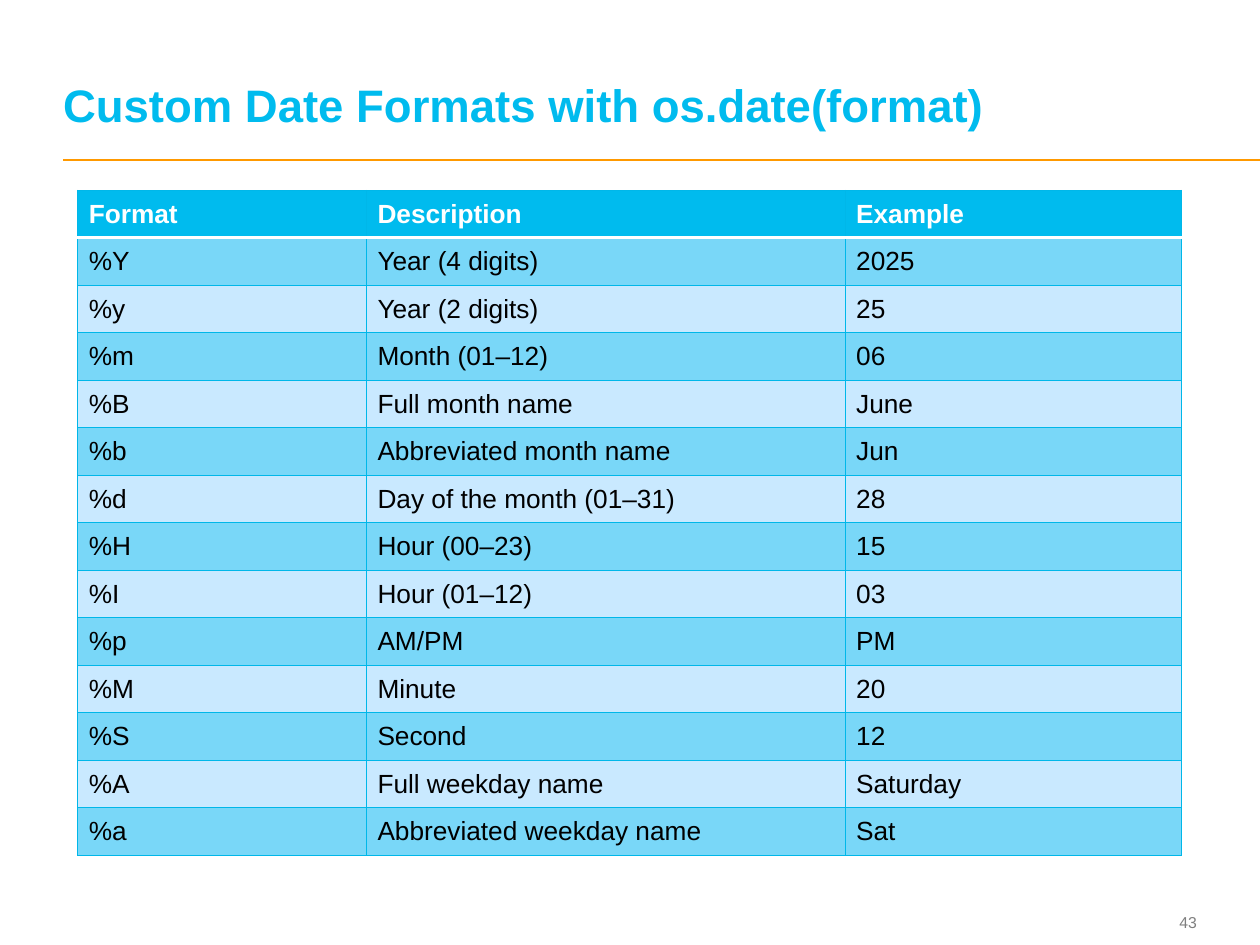
from dataclasses import dataclass

from lxml.etree import SubElement
from pptx import Presentation
from pptx.dml.color import RGBColor
from pptx.enum.shapes import MSO_CONNECTOR
from pptx.enum.text import MSO_ANCHOR, MSO_AUTO_SIZE, PP_ALIGN
from pptx.oxml.ns import qn
from pptx.slide import Slide
from pptx.table import _Cell
from pptx.text.text import TextFrame
from pptx.util import Cm, Pt

FONT = "Arial"
CYAN = RGBColor(0x00, 0xBB, 0xEE)
GRID = RGBColor(0x00, 0xB7, 0xE9)
BAND_DARK = RGBColor(0x79, 0xD7, 0xF8)
BAND_LIGHT = RGBColor(0xC9, 0xE9, 0xFF)
ORANGE = RGBColor(0xFF, 0x99, 0x00)
GRAY = RGBColor(0x7F, 0x7F, 0x7F)
WHITE = RGBColor(0xFF, 0xFF, 0xFF)
BLACK = RGBColor(0x00, 0x00, 0x00)

MARGIN = Cm(1.27)
COLUMN_WIDTHS = (Cm(5.82), Cm(9.65), Cm(6.78))
TABLE_HEIGHT = Cm(13.41)


@dataclass(frozen=True)
class DateFormat:
    code: str
    description: str
    example: str


HEADER = DateFormat("Format", "Description", "Example")
FORMATS = (
    DateFormat("%Y", "Year (4 digits)", "2025"),
    DateFormat("%y", "Year (2 digits)", "25"),
    DateFormat("%m", "Month (01–12)", "06"),
    DateFormat("%B", "Full month name", "June"),
    DateFormat("%b", "Abbreviated month name", "Jun"),
    DateFormat("%d", "Day of the month (01–31)", "28"),
    DateFormat("%H", "Hour (00–23)", "15"),
    DateFormat("%I", "Hour (01–12)", "03"),
    DateFormat("%p", "AM/PM", "PM"),
    DateFormat("%M", "Minute", "20"),
    DateFormat("%S", "Second", "12"),
    DateFormat("%A", "Full weekday name", "Saturday"),
    DateFormat("%a", "Abbreviated weekday name", "Sat"),
)


def write(tf: TextFrame, text: str, size: float, color: RGBColor,
          bold: bool = False, align: PP_ALIGN = PP_ALIGN.LEFT) -> None:
    tf.text = text
    p = tf.paragraphs[0]
    p.alignment = align
    p.font.name = FONT
    p.font.size = Pt(size)
    p.font.bold = bold
    p.font.color.rgb = color


def clear_margins(tf: TextFrame) -> None:
    tf.margin_left = tf.margin_right = tf.margin_top = tf.margin_bottom = 0
    tf.word_wrap = True
    tf.auto_size = MSO_AUTO_SIZE.NONE


def set_border(cell: _Cell, side: str, color: RGBColor, width: float) -> None:
    """Side is L, R, T or B; call in that order and before filling the cell."""
    ln = SubElement(cell._tc.get_or_add_tcPr(), qn(f"a:ln{side}"), w=str(Pt(width)))
    SubElement(SubElement(ln, qn("a:solidFill")), qn("a:srgbClr"), val=str(color))


def add_title(s: Slide, text: str) -> None:
    title = s.shapes.title
    title.left, title.top, title.width, title.height = MARGIN, Cm(0.48), Cm(22.78), Cm(2.18)
    tf = title.text_frame
    clear_margins(tf)
    tf.vertical_anchor = MSO_ANCHOR.BOTTOM
    write(tf, text, 26, CYAN, bold=True)
    tf.paragraphs[0].line_spacing = Pt(26)


def add_rule(s: Slide, right: int) -> None:
    y = Cm(3.22)
    rule = s.shapes.add_connector(MSO_CONNECTOR.STRAIGHT, MARGIN, y, right, y)
    rule.line.color.rgb = ORANGE
    rule.line.width = Pt(1)
    SubElement(rule._element.spPr, qn("a:effectLst"))


def add_page_number(s: Slide, number: int) -> None:
    tf = s.shapes.add_textbox(Cm(22.63), Cm(18.24), Cm(1.5), Cm(0.69)).text_frame
    clear_margins(tf)
    tf.vertical_anchor = MSO_ANCHOR.MIDDLE
    write(tf, str(number), 9, GRAY, align=PP_ALIGN.RIGHT)


def fill_cell(cell: _Cell, text: str, row: int) -> None:
    is_header = row == 0
    cell.vertical_anchor = MSO_ANCHOR.MIDDLE
    cell.margin_left = cell.margin_right = Cm(0.22)
    cell.margin_top = cell.margin_bottom = Cm(0.11)
    write(cell.text_frame, text, 15, WHITE if is_header else BLACK, bold=is_header)
    header_edge = {0: "B", 1: "T"}.get(row)
    for side in "LRTB":
        color, width = (WHITE, 2) if side == header_edge else (GRID, 0.75)
        set_border(cell, side, color, width)
    cell.fill.solid()
    band = BAND_DARK if row % 2 else BAND_LIGHT
    cell.fill.fore_color.rgb = CYAN if is_header else band


def add_format_table(s: Slide) -> None:
    rows = (HEADER, *FORMATS)
    table = s.shapes.add_table(len(rows), len(COLUMN_WIDTHS), Cm(1.57), Cm(3.84),
                               sum(COLUMN_WIDTHS), TABLE_HEIGHT).table
    for column, width in zip(table.columns, COLUMN_WIDTHS):
        column.width = width
    for i, entry in enumerate(rows):
        for j, text in enumerate((entry.code, entry.description, entry.example)):
            fill_cell(table.cell(i, j), text, i)


def main() -> None:
    prs = Presentation()
    prs.slide_width, prs.slide_height = Cm(25.4), Cm(19.05)
    s = prs.slides.add_slide(prs.slide_layouts.get_by_name("Title Only"))
    add_rule(s, prs.slide_width)
    add_page_number(s, 43)
    add_title(s, "Custom Date Formats with os.date(format)")
    add_format_table(s)
    prs.save("out.pptx")


if __name__ == "__main__":
    main()
